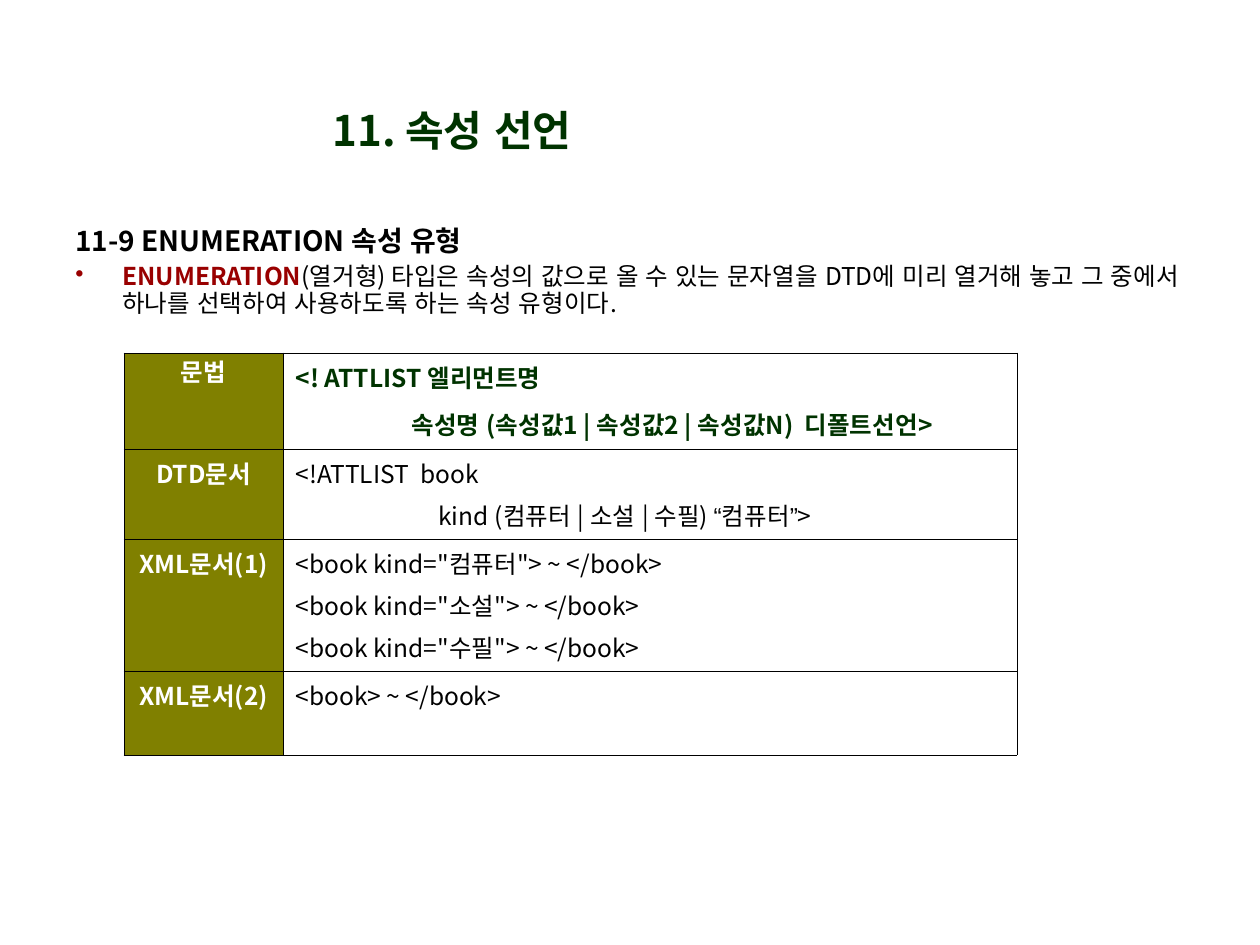
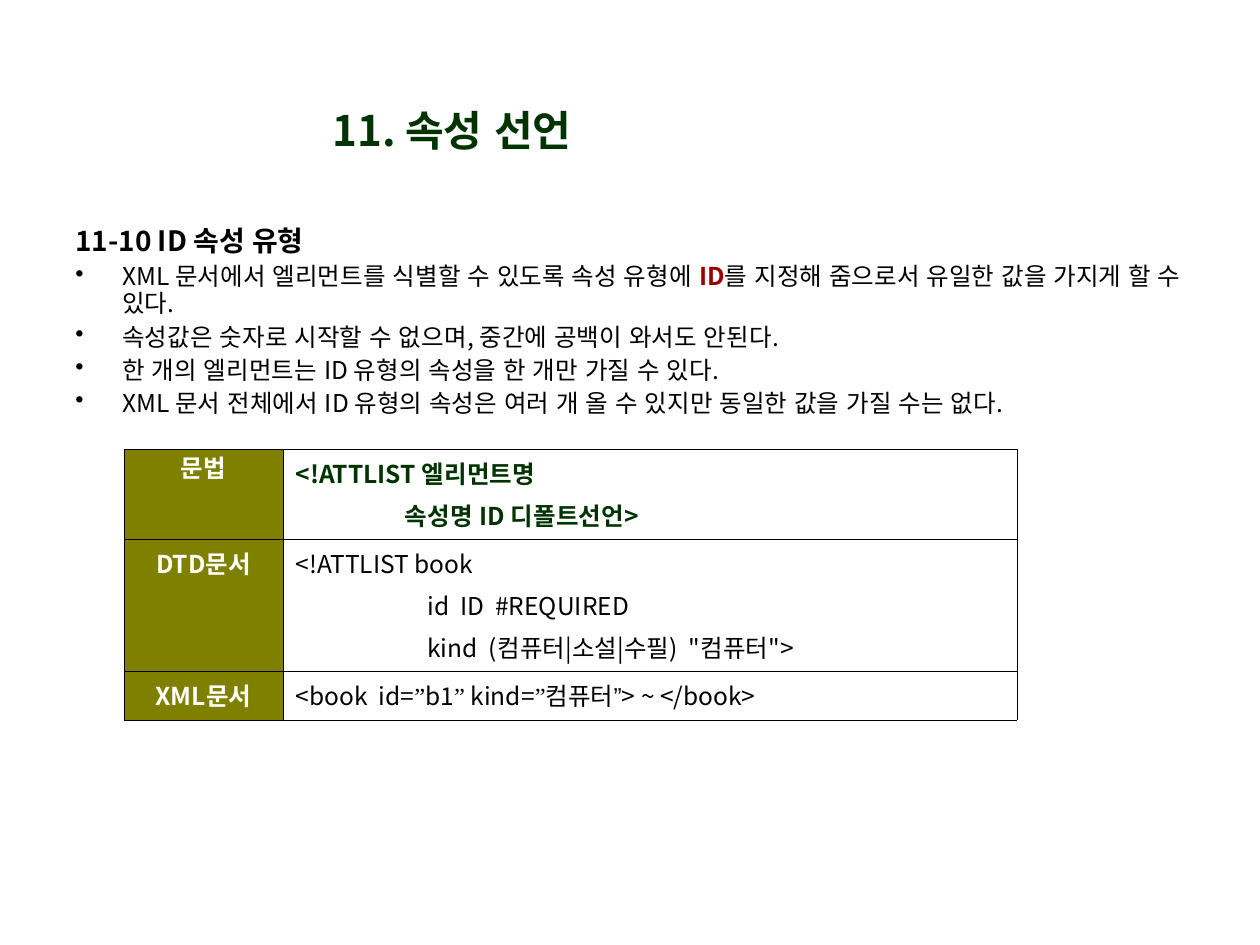
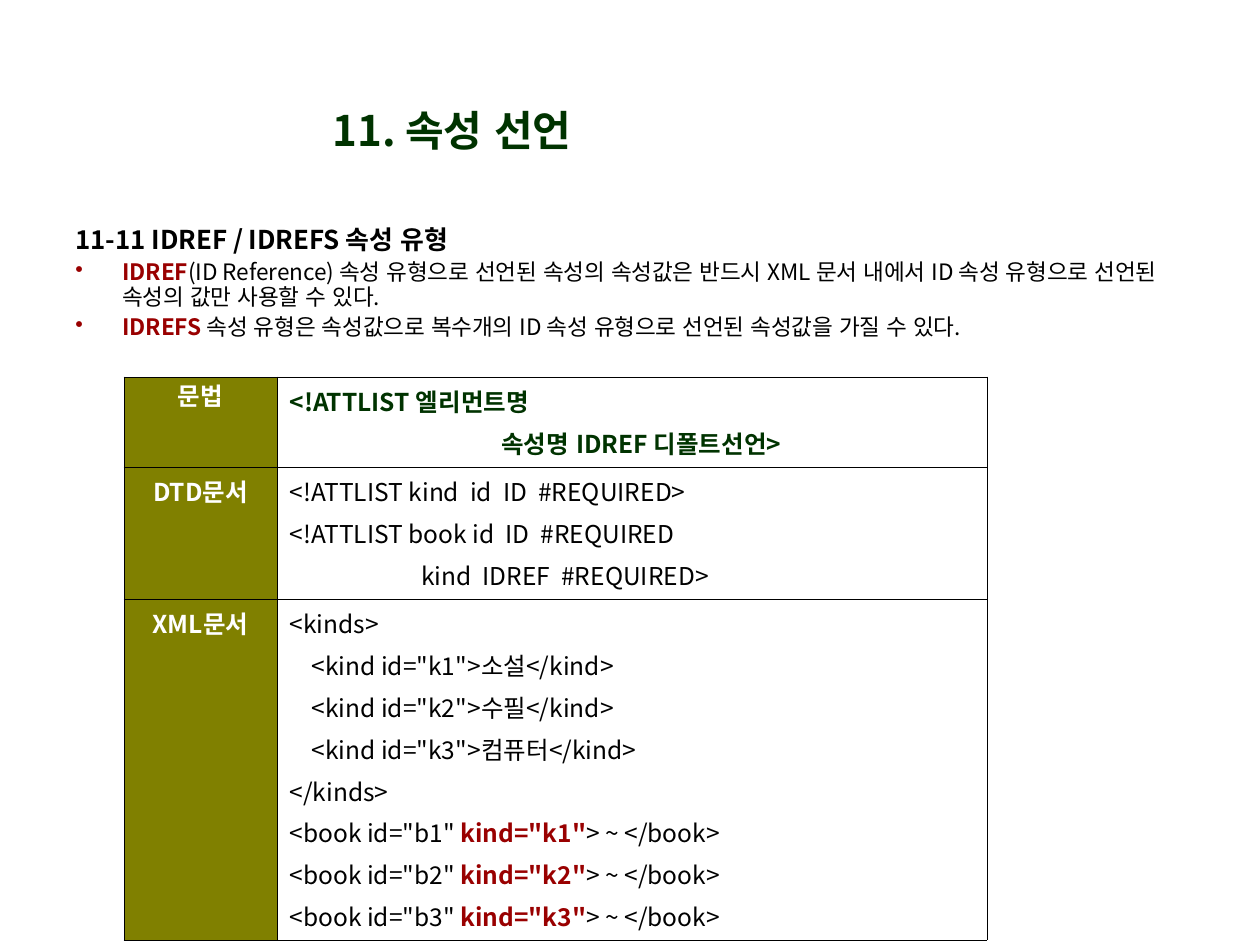
from lxml.etree import SubElement
from pptx import Presentation
from pptx.dml.color import RGBColor
from pptx.enum.text import MSO_ANCHOR, PP_ALIGN
from pptx.oxml.ns import qn
from pptx.util import Emu, Pt

PX = 914400 / 126
FONT = "Noto Sans CJK KR"
EAST_ASIAN_FONT = "Arial"
COLORS = {
    "title": "003300",
    "text": "000000",
    "key": "990000",
    "label": "FFFFFF",
    "label_fill": "808000",
    "border": "000000",
}
TITLE = "11. 속성 선언"
KEY = {"color": "key", "bold": True}
SYNTAX = {"color": "title", "bold": True}
ARIAL = {"font": "Arial"}
TIMES = {"font": "Times New Roman"}


def px(length):
    return Emu(round(length * PX))


def write(para, text, size=14, color="text", bold=False, font=FONT):
    """Add one span; the East Asian font sets the width of spaces beside Hangul."""
    span = para.add_run()
    span.text = text
    span.font.size = Pt(size)
    span.font.bold = bold
    span.font.color.rgb = RGBColor.from_string(COLORS[color])
    span.font.name = font
    SubElement(span._r.get_or_add_rPr(), qn("a:ea"), typeface=EAST_ASIAN_FONT)


# A bullet or a code line is a list of (text, format) spans.
pages = [
    {
        "heading": "11-9 ENUMERATION 속성 유형",
        "sizes": (16, 14), "line_spacing": 0.92, "body_height": 113,
        "bullets": [
            ("key", [("ENUMERATION", KEY),
                     ("(열거형) 타입은 속성의 값으로 올 수 있는 문자열을 DTD에 미리 열거해 놓고 "
                      "그 중에서 하나를 선택하여 사용하도록 하는 속성 유형이다.", {})]),
        ],
        "table_top": 353, "columns": (159, 734), "syntax_gap": 6,
        "rows": [
            (96, "문법", [
                [("<! ATTLIST 엘리먼트명", SYNTAX)],
                [("                 속성명 (속성값1 | 속성값2 | 속성값N)  디폴트선언>", SYNTAX)],
            ]),
            (90, "DTD문서", [
                [("<!ATTLIST  book", {})],
                [("                          kind (컴퓨터 | 소설 | 수필) ", {}),
                 ("“", ARIAL), ("컴퓨터", {}), ("”", ARIAL), (">", {})],
            ]),
            (132, "XML문서(1)", [
                [(f'<book kind="{kind}"> ~ </book>', {})] for kind in ("컴퓨터", "소설", "수필")
            ]),
            (84, "XML문서(2)", [[("<book> ~ </book>", {})]]),
        ],
    },
    {
        "heading": "11-10 ID 속성 유형",
        "sizes": (16, 14), "line_spacing": 0.92, "body_height": 242,
        "bullets": [
            ("text", [("XML 문서에서 엘리먼트를 식별할 수 있도록 속성 유형에 ", {}), ("ID", KEY),
                      ("를 지정해 줌으로서 유일한 값을 가지게 할 수 있다.", {})]),
            ("text", [("속성값은 숫자로 시작할 수 없으며, 중간에 공백이 와서도 안된다.", {})]),
            ("text", [("한 개의 엘리먼트는 ID 유형의 속성을 한 개만 가질 수 있다.", {})]),
            ("text", [("XML 문서 전체에서 ID 유형의 속성은 여러 개 올 수 있지만 "
                       "동일한 값을 가질 수는 없다.", {})]),
        ],
        "table_top": 449, "columns": (159, 734), "syntax_gap": 3.5,
        "rows": [
            (90, "문법", [
                [("<!ATTLIST 엘리먼트명", SYNTAX)],
                [("                속성명 ID 디폴트선언>", SYNTAX)],
            ]),
            (132, "DTD문서", [
                [("<!ATTLIST book", {})],
                [("                        id  ID  #REQUIRED", {})],
                [('                        kind  (컴퓨터|소설|수필)  "컴퓨터">', {})],
            ]),
            (49, "XML문서", [
                [("<book  id=", {}), ("”", TIMES), ("b1", {}), ("”", TIMES), (" kind=", {}),
                 ("”", TIMES), ("컴퓨터", {}), ("”", TIMES), ("> ~ </book>", {})],
            ]),
        ],
    },
    {
        "heading": "11-11 IDREF / IDREFS 속성 유형",
        "sizes": (14.8, 12.9), "line_spacing": 0.9, "body_height": 142,
        "bullets": [
            ("key", [("IDREF", KEY),
                     ("(ID Reference) 속성 유형으로 선언된 속성의 속성값은 반드시 XML 문서 내에서 "
                      "ID 속성 유형으로 선언된 속성의 값만 사용할 수 있다.", {})]),
            ("key", [("IDREFS ", KEY),
                     ("속성 유형은 속성값으로 복수개의 ID 속성 유형으로 선언된 "
                      "속성값을 가질 수 있다.", {})]),
        ],
        "table_top": 377, "columns": (153, 710), "syntax_gap": 3.5,
        "rows": [
            (90, "문법", [
                [("<!ATTLIST 엘리먼트명", SYNTAX)],
                [("                               속성명 IDREF 디폴트선언>", SYNTAX)],
            ]),
            (132, "DTD문서", [
                [("<!ATTLIST kind  id  ID  #REQUIRED>", {})],
                [("<!ATTLIST book id  ID  #REQUIRED", {})],
                [("                        kind  IDREF  #REQUIRED>", {})],
            ]),
            (341, "XML문서", [
                [("<kinds>", {})],
                *[[(f'    <kind id="k{number}">{kind}</kind>', {})]
                  for number, kind in enumerate(("소설", "수필", "컴퓨터"), 1)],
                [("</kinds>", {})],
                *[[(f'<book id="b{number}" ', {}), (f'kind="k{number}"', KEY),
                   ("> ~ </book>", {})] for number in (1, 2, 3)],
            ]),
        ],
    },
]

deck = Presentation()
deck.slide_width, deck.slide_height = px(1260), px(945)

for content in pages:
    page = deck.slides.add_slide(deck.slide_layouts[5])

    title = page.shapes.title
    title.left, title.top, title.width, title.height = px(174), px(95), px(556), px(69)
    title.text_frame.vertical_anchor = MSO_ANCHOR.MIDDLE
    title_para = title.text_frame.paragraphs[0]
    title_para.alignment = PP_ALIGN.CENTER
    write(title_para, TITLE, size=24, color="title", bold=True)

    body = page.shapes.add_textbox(px(63), px(221), px(1133), px(content["body_height"]))
    body.text_frame.word_wrap = True
    heading_size, bullet_size = content["sizes"]
    heading = body.text_frame.paragraphs[0]
    heading.line_spacing = content["line_spacing"]
    write(heading, content["heading"], size=heading_size, bold=True)
    for bullet_color, spans in content["bullets"]:
        para = body.text_frame.add_paragraph()
        properties = para._p.get_or_add_pPr()
        properties.set("marL", str(px(47)))
        properties.set("indent", str(-px(47)))
        bullet_fill = SubElement(properties, qn("a:buClr"))
        SubElement(bullet_fill, qn("a:srgbClr"), val=COLORS[bullet_color])
        SubElement(properties, qn("a:buChar"), char="•")
        para.line_spacing = content["line_spacing"]
        para.space_before = Pt(3.5)
        for text, style in spans:
            write(para, text, size=bullet_size, **style)

    rows = content["rows"]
    frame = page.shapes.add_table(
        len(rows), 2, px(124), px(content["table_top"]),
        px(sum(content["columns"])), px(sum(row[0] for row in rows)))
    table = frame.table
    table.first_row = table.horz_banding = False
    for column, width in zip(table.columns, content["columns"]):
        column.width = px(width)

    for row_index, (height, label, lines) in enumerate(rows):
        table.rows[row_index].height = px(height)
        label_cell, code_cell = table.rows[row_index].cells
        for cell in (label_cell, code_cell):
            cell.margin_left = cell.margin_right = Pt(7.2)
            cell.margin_top = cell.margin_bottom = Pt(3.6)
            for side in ("lnL", "lnR", "lnT", "lnB"):
                border = SubElement(cell._tc.get_or_add_tcPr(), qn(f"a:{side}"), w=str(Pt(0.45)))
                border_fill = SubElement(border, qn("a:solidFill"))
                SubElement(border_fill, qn("a:srgbClr"), val=COLORS["border"])

        label_cell.fill.solid()
        label_cell.fill.fore_color.rgb = RGBColor.from_string(COLORS["label_fill"])
        label_para = label_cell.text_frame.paragraphs[0]
        label_para.alignment = PP_ALIGN.CENTER
        write(label_para, label, color="label", bold=True)

        code_cell.fill.background()
        for line_index, spans in enumerate(lines):
            if line_index == 0:
                para = code_cell.text_frame.paragraphs[0]
            else:
                para = code_cell.text_frame.add_paragraph()
                para.space_before = Pt(content["syntax_gap"] if row_index == 0 else 3.5)
            for text, style in spans:
                write(para, text, **style)

deck.save("out.pptx")
